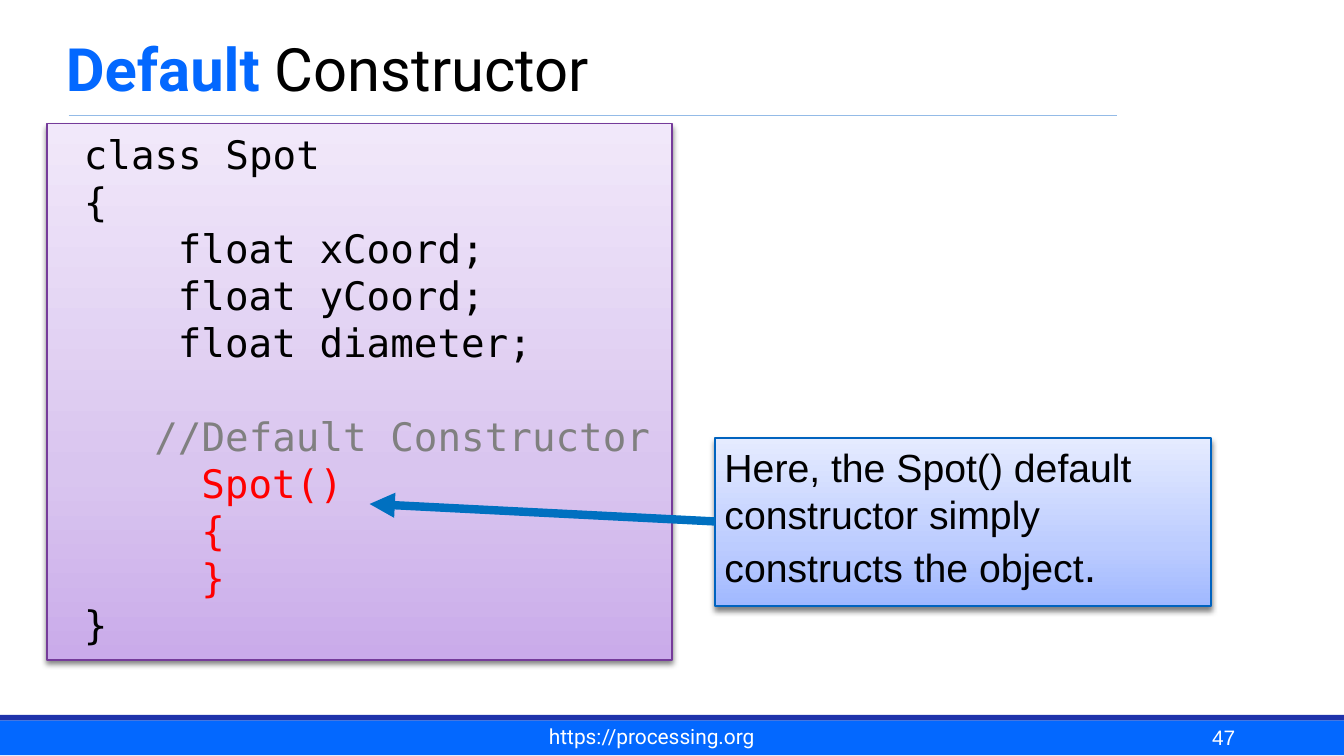
from dataclasses import dataclass

import lxml.etree
import pptx
import pptx.dml.color
import pptx.enum.shapes
import pptx.enum.text
import pptx.oxml.ns
import pptx.util

Inches = pptx.util.Inches
Pt = pptx.util.Pt
qn = pptx.oxml.ns.qn
Align = pptx.enum.text.PP_ALIGN
Anchor = pptx.enum.text.MSO_ANCHOR
MONO = "DejaVu Sans Mono"
CODE_SIZE = 21
CHAR_WIDTH = 0.6 * CODE_SIZE


@dataclass
class Box:
    left: float
    top: float
    width: float
    height: float


@dataclass
class Run:
    text: str
    size: float
    font: str
    color: str
    bold: bool = False


@dataclass
class CodeLine:
    text: str
    indent: int
    color: str = "000000"
    gap: float = 0


@dataclass
class Panel:
    box: Box
    stops: list[tuple[int, str]]
    border: str


@dataclass
class Label:
    box: Box
    runs: list[Run]
    align: Align
    inset: tuple[float, float]


@dataclass
class Line:
    start: tuple[float, float]
    end: tuple[float, float]
    color: str
    width: float
    arrow: bool = False


RULE = Line((0.51, 0.86), (8.31, 0.86), "94BBE7", 1)
ARROW = Line((5.32, 3.88), (2.75, 3.75), "0070C0", 4.5, arrow=True)
BARS = [(Box(0, 5.36, 10, 0.26), "0368FF"), (Box(0, 5.32, 10, 0.04), "1F33AB")]
CODE_PANEL = Panel(Box(0.35, 0.92, 4.65, 3.99),
                   [(0, "CAABEA"), (35, "D9C5EF"), (100, "F1E8FA")], "753B9A")
NOTE_PANEL = Panel(Box(5.32, 3.26, 3.69, 1.25),
                   [(0, "A0B8FF"), (35, "BCCCFF"), (100, "E5EBFF")], "0063BF")
CODE = [
    CodeLine("class Spot", 1),
    CodeLine("{", 1),
    CodeLine("float xCoord;", 5),
    CodeLine("float yCoord;", 5),
    CodeLine("float diameter;", 5),
    CodeLine("//Default Constructor", 4, "808080", gap=25),
    CodeLine("Spot()", 6, "FF0000"),
    CodeLine("{", 6, "FF0000"),
    CodeLine("}", 6, "FF0000"),
    CodeLine("}", 1),
]
NOTE = [
    Run("Here, the Spot() default constructor simply constructs the object", 21, "Arial", "000000"),
    Run(".", 24, "Arial", "000000"),
]
LABELS = [
    Label(Box(3.52, 5.35, 2.66, 0.26),
          [Run("https://processing.org", 11.2, "Roboto", "FFFFFF")], Align.CENTER, (0.08, 0.04)),
    Label(Box(7.17, 5.33, 2.08, 0.31),
          [Run("47", 11.2, "Arial", "FFFFFF")], Align.RIGHT, (0.06, 0.06)),
    Label(Box(0.43, 0, 8.5, 0.83),
          [Run("Default", 32, "Roboto", "0368FF", True),
           Run(" Constructor", 32, "Roboto", "000000")], Align.LEFT, (0.06, 0.06)),
]


def rgb(color: str) -> pptx.dml.color.RGBColor:
    return pptx.dml.color.RGBColor.from_string(color)


def place(box: Box) -> list[int]:
    return [Inches(v) for v in (box.left, box.top, box.width, box.height)]


def add_child(parent, tag: str, **attrs):
    return lxml.etree.SubElement(parent, qn(tag), {k: str(v) for k, v in attrs.items()})


def add_shadow(sp) -> None:
    effects = add_child(sp._element.spPr, "a:effectLst")
    outer = add_child(effects, "a:outerShdw", blurRad=Pt(3), dist=Pt(2),
                      dir=90 * 60000, rotWithShape=0)
    color = add_child(outer, "a:srgbClr", val="000000")
    add_child(color, "a:alpha", val=50000)


def add_rect(s, box: Box):
    return s.shapes.add_shape(pptx.enum.shapes.MSO_SHAPE.RECTANGLE, *place(box))


def add_bar(s, box: Box, color: str) -> None:
    sp = add_rect(s, box)
    sp.fill.solid()
    sp.fill.fore_color.rgb = rgb(color)
    sp.line.fill.background()
    sp.shadow.inherit = False


def add_panel(s, panel: Panel, inset: tuple[float, float]):
    sp = add_rect(s, panel.box)
    sp.fill.gradient()
    sp.fill.gradient_angle = 90
    stops = sp._element.spPr.find(".//" + qn("a:gsLst"))
    for stop in list(stops):
        stops.remove(stop)
    for pos, color in panel.stops:
        add_child(add_child(stops, "a:gs", pos=pos * 1000), "a:srgbClr", val=color)
    sp.line.color.rgb = rgb(panel.border)
    sp.line.width = Pt(0.75)
    add_shadow(sp)
    set_frame(sp.text_frame, inset, Anchor.TOP)
    return sp


def set_frame(tf, inset: tuple[float, float], anchor: Anchor) -> None:
    tf.word_wrap = True
    tf.vertical_anchor = anchor
    tf.margin_left = tf.margin_right = Inches(inset[0])
    tf.margin_top = tf.margin_bottom = Inches(inset[1])


def format_run(r, run: Run) -> None:
    r.font.size = Pt(run.size)
    r.font.name = run.font
    r.font.bold = run.bold
    r.font.color.rgb = rgb(run.color)


def write_runs(p, runs: list[Run], align: Align) -> None:
    p.alignment = align
    for run in runs:
        r = p.add_run()
        r.text = run.text
        format_run(r, run)


def write_code(tf, lines: list[CodeLine]) -> None:
    tf.text = "\n".join(line.text for line in lines)
    for p, line in zip(tf.paragraphs, lines):
        p.alignment = Align.LEFT
        p.space_before = Pt(line.gap)
        p._p.get_or_add_pPr().set("marL", str(Pt(line.indent * CHAR_WIDTH)))
        format_run(p.runs[0], Run(line.text, CODE_SIZE, MONO, line.color))


def add_label(s, label: Label) -> None:
    tf = s.shapes.add_textbox(*place(label.box)).text_frame
    set_frame(tf, label.inset, Anchor.BOTTOM)
    write_runs(tf.paragraphs[0], label.runs, label.align)


def add_line(s, line: Line) -> None:
    ends = [Inches(v) for v in line.start + line.end]
    sp = s.shapes.add_connector(pptx.enum.shapes.MSO_CONNECTOR.STRAIGHT, *ends)
    sp.line.color.rgb = rgb(line.color)
    sp.line.width = Pt(line.width)
    if line.arrow:
        add_child(sp.get_or_add_ln(), "a:tailEnd", type="triangle")
    add_child(sp._element.spPr, "a:effectLst")


def main() -> None:
    prs = pptx.Presentation()
    prs.slide_width = Inches(10)
    prs.slide_height = prs.slide_width * 9 // 16
    s = prs.slides.add_slide(prs.slide_layouts[6])
    for box, color in BARS:
        add_bar(s, box, color)
    add_line(s, RULE)
    write_code(add_panel(s, CODE_PANEL, (0.1, 0.05)).text_frame, CODE)
    note = add_panel(s, NOTE_PANEL, (0.07, 0.04))
    write_runs(note.text_frame.paragraphs[0], NOTE, Align.LEFT)
    add_line(s, ARROW)
    for label in LABELS:
        add_label(s, label)
    prs.save("out.pptx")


if __name__ == "__main__":
    main()
